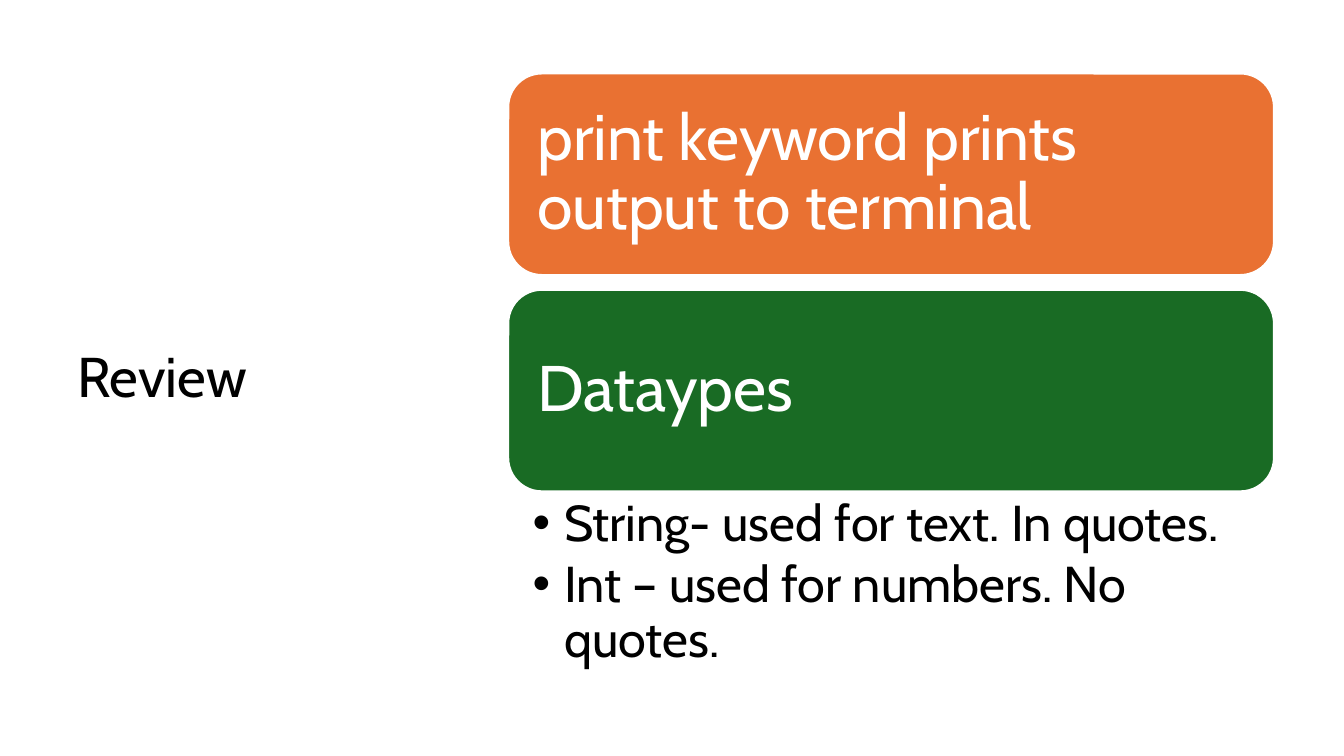
from lxml.etree import SubElement
from pptx import Presentation
from pptx.dml.color import RGBColor
from pptx.enum.shapes import MSO_SHAPE
from pptx.enum.text import MSO_ANCHOR, MSO_AUTO_SIZE, PP_ALIGN
from pptx.oxml.ns import qn
from pptx.util import Pt

COLORS = {"white": "FFFFFF", "black": "000000", "orange": "E97132", "green": "196B24"}


def write(frame, lines, size, color, anchor=MSO_ANCHOR.MIDDLE,
          insets=(7.2, 3.6, 7.2, 3.6), after=0, bullet=False):
    frame.word_wrap = True
    frame.auto_size = MSO_AUTO_SIZE.NONE
    frame.vertical_anchor = anchor
    frame.margin_left, frame.margin_top, frame.margin_right, frame.margin_bottom = map(Pt, insets)
    for index, line in enumerate(lines):
        paragraph = frame.add_paragraph() if index else frame.paragraphs[0]
        paragraph.alignment = PP_ALIGN.LEFT
        paragraph.line_spacing = 0.9
        paragraph.space_after = Pt(after)
        run = paragraph.add_run()
        run.text = line
        run.font.name = "Cabin"
        run.font.size = Pt(size)
        run.font.color.rgb = RGBColor.from_string(COLORS[color])
        if bullet:
            paragraph.level = 1
            properties = paragraph._p.get_or_add_pPr()
            properties.set("marL", str(Pt(22.5)))
            properties.set("indent", str(Pt(-22.5)))
            SubElement(properties, qn("a:buFont")).set("typeface", "Arial")
            SubElement(properties, qn("a:buChar")).set("char", "•")


presentation = Presentation()
presentation.slide_width = Pt(960)
presentation.slide_height = Pt(540)
slide = presentation.slides.add_slide(presentation.slide_layouts[5])

review = slide.shapes.title
review.left, review.top, review.width, review.height = Pt(48), Pt(43.2), Pt(275), Pt(456)
write(review.text_frame, ["Review"], 40, "black")

left, top, width, height, gap = 363, 52.5, 547, 144, 10.5
topics = [("print keyword prints output to terminal", "orange"), ("Dataypes", "green")]
for row, (topic, fill) in enumerate(topics):
    card = slide.shapes.add_shape(
        MSO_SHAPE.ROUNDED_RECTANGLE, Pt(left), Pt(top + row * (height + gap)), Pt(width), Pt(height))
    card.shadow.inherit = False
    card.fill.solid()
    card.fill.fore_color.rgb = RGBColor.from_string(COLORS[fill])
    card.line.color.rgb = RGBColor.from_string(COLORS["white"])
    card.line.width = Pt(1.5)
    write(card.text_frame, [topic], 46, "white", insets=(13.8,) * 4)

datatypes = slide.shapes.add_textbox(Pt(left), Pt(top + 2 * height + gap), Pt(width), Pt(139))
write(datatypes.text_frame,
      ["String- used for text. In quotes.", "Int – used for numbers. No quotes."],
      36, "black", anchor=MSO_ANCHOR.TOP, insets=(17.4, 4.5, 25.6, 4.5), after=5, bullet=True)

presentation.save("out.pptx")
